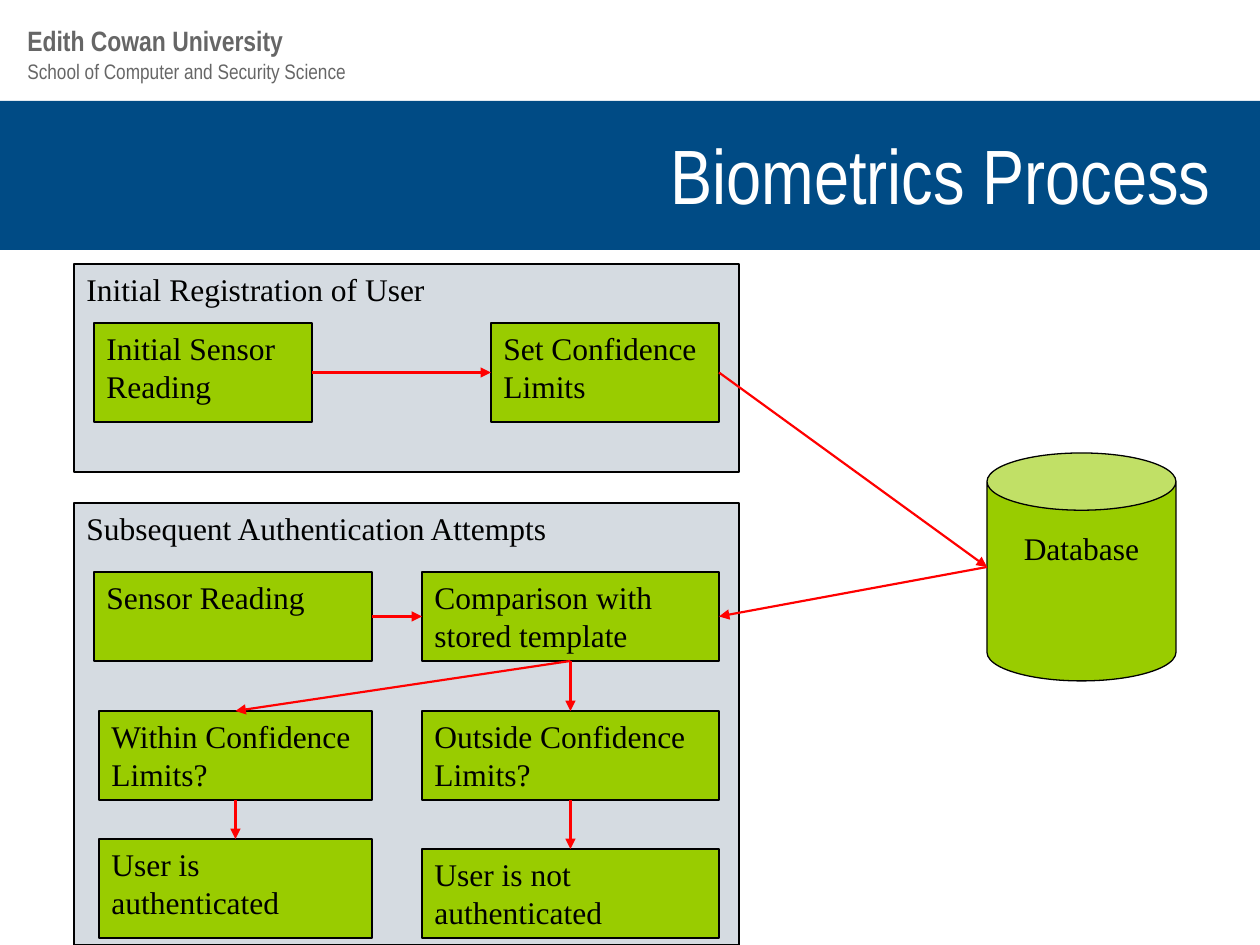
from lxml import etree
from pptx import Presentation
from pptx.dml.color import RGBColor
from pptx.enum.shapes import MSO_CONNECTOR, MSO_SHAPE
from pptx.enum.text import MSO_ANCHOR, PP_ALIGN
from pptx.oxml.ns import qn
from pptx.util import Emu, Pt

RECT, CAN = MSO_SHAPE.RECTANGLE, MSO_SHAPE.CAN
STRAIGHT = MSO_CONNECTOR.STRAIGHT
TOP, MIDDLE = MSO_ANCHOR.TOP, MSO_ANCHOR.MIDDLE
LEFT, CENTER, RIGHT = PP_ALIGN.LEFT, PP_ALIGN.CENTER, PP_ALIGN.RIGHT
SITE_TOP, SITE_LEFT, SITE_BOTTOM, SITE_RIGHT = range(4)

BLACK = RGBColor(0x00, 0x00, 0x00)
WHITE = RGBColor(0xFF, 0xFF, 0xFF)
NAVY = RGBColor(0x00, 0x4B, 0x85)
GREY = RGBColor(0x66, 0x66, 0x66)
PANEL = RGBColor(0xD5, 0xDB, 0xE1)
GREEN = RGBColor(0x99, 0xCC, 0x00)
RED = RGBColor(0xFF, 0x00, 0x00)

SERIF, NARROW = "Times New Roman", "Arial Narrow"
PX_PER_INCH = 126


def px(n):
    return Emu(round(n * 914400 / PX_PER_INCH))


def write(sp, text, font, size, color, align=LEFT, anchor=TOP, bold=False):
    tf = sp.text_frame
    tf.word_wrap = True
    tf.vertical_anchor = anchor
    tf.text = text
    p = tf.paragraphs[0]
    p.alignment = align
    p.space_before = Pt(0)
    f = p.runs[0].font
    f.name, f.size, f.bold = font, Pt(size), bold
    f.color.rgb = color


def add_shape(shapes, kind, box, fill, outline=True):
    sp = shapes.add_shape(kind, *map(px, box))
    sp.shadow.inherit = False
    sp.fill.solid()
    sp.fill.fore_color.rgb = fill
    if outline:
        sp.line.color.rgb = BLACK
        sp.line.width = Pt(0.75)
    else:
        sp.line.fill.background()
    return sp


def add_box(slide, text, box, fill=GREEN):
    sp = add_shape(slide.shapes, RECT, box, fill)
    write(sp, text, SERIF, 18, BLACK)
    return sp


def add_label(slide, text, box, size, bold=False):
    sp = slide.shapes.add_textbox(*map(px, box))
    write(sp, text, NARROW, size, GREY, bold=bold)


def add_database(slide, box):
    """Draw the labelled cylinder and return the middle of its left side."""
    x, y, w, h = box
    shapes = slide.shapes.add_group_shape().shapes
    can = add_shape(shapes, CAN, box, GREEN)
    can.adjustments[0] = 0.303
    label = add_shape(shapes, RECT, (x + 10, y + 70, w - 20, 110), GREEN, outline=False)
    write(label, "Database", SERIF, 18, BLACK, align=CENTER)
    return px(x), px(y + h / 2)


def add_arrow(slide, begin, end):
    """Each end is a (shape, site) pair or an (x, y) point in EMU."""
    joined = [not isinstance(e[0], int) for e in (begin, end)]
    start = (0, 0) if joined[0] else begin
    stop = (0, 0) if joined[1] else end
    line = slide.shapes.add_connector(STRAIGHT, *start, *stop)
    if joined[0]:
        line.begin_connect(*begin)
    if joined[1]:
        line.end_connect(*end)
    line.line.color.rgb = RED
    line.line.width = Pt(1.25)
    etree.SubElement(line.line._get_or_add_ln(), qn("a:tailEnd"), type="triangle")
    etree.SubElement(line._element.spPr, qn("a:effectLst"))


def add_header(slide):
    add_shape(slide.shapes, RECT, (0, 101, 1260, 149), NAVY, outline=False)
    add_label(slide, "School of Computer and Security Science", (15, 52, 742, 38), 12)
    add_label(slide, "Edith Cowan University", (15, 17, 742, 46), 16, bold=True)
    title = slide.shapes.title
    title.left, title.top, title.width, title.height = map(px, (34, 105, 1190, 137))
    write(title, "Biometrics Process", NARROW, 44, WHITE, align=RIGHT, anchor=MIDDLE)


def add_process(slide):
    add_box(slide, "Subsequent Authentication Attempts", (74, 503, 665, 442), PANEL)
    add_box(slide, "Initial Registration of User", (74, 264, 665, 208), PANEL)

    initial = add_box(slide, "Initial Sensor Reading", (94, 323, 218, 99))
    limits = add_box(slide, "Set Confidence Limits", (491, 323, 228, 99))
    reading = add_box(slide, "Sensor Reading", (94, 572, 278, 89))
    comparison = add_box(slide, "Comparison with stored template", (422, 572, 297, 89))
    within = add_box(slide, "Within Confidence Limits?", (99, 711, 273, 89))
    outside = add_box(slide, "Outside Confidence Limits?", (422, 711, 297, 89))
    accepted = add_box(slide, "User is authenticated", (99, 839, 273, 99))
    rejected = add_box(slide, "User is not authenticated", (422, 849, 297, 89))
    database = add_database(slide, (987, 453, 189, 228))

    for source, target in ((initial, limits), (reading, comparison)):
        add_arrow(slide, (source, SITE_RIGHT), (target, SITE_LEFT))
    for source, target in ((comparison, within), (comparison, outside),
                           (within, accepted), (outside, rejected)):
        add_arrow(slide, (source, SITE_BOTTOM), (target, SITE_TOP))
    add_arrow(slide, (limits, SITE_RIGHT), database)
    add_arrow(slide, database, (comparison, SITE_RIGHT))


def main():
    prs = Presentation()
    prs.slide_width, prs.slide_height = px(1260), px(945)
    slide = prs.slides.add_slide(prs.slide_layouts[5])
    add_header(slide)
    add_process(slide)
    # The title comes first in the layout; bring it in front of the banner.
    slide.shapes._spTree.append(slide.shapes.title._element)
    prs.save("out.pptx")


if __name__ == "__main__":
    main()
